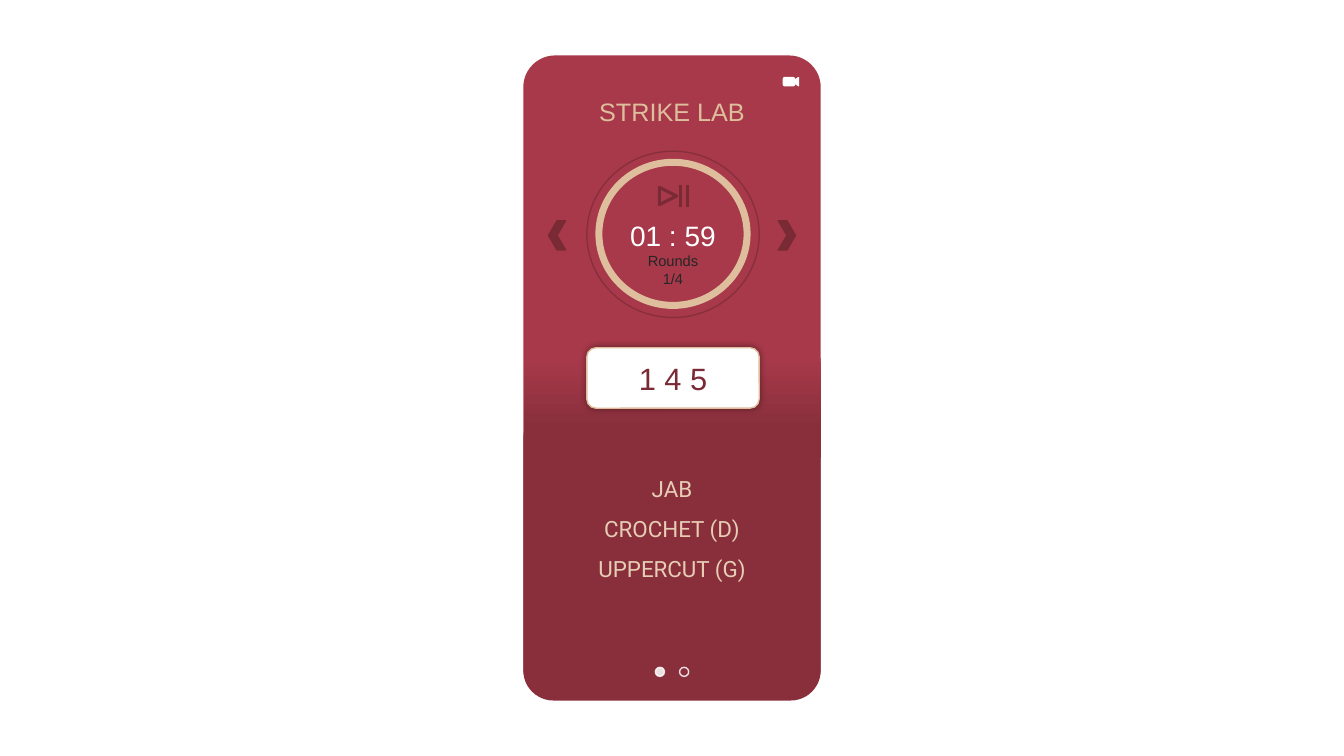
from dataclasses import dataclass

from pptx import Presentation
from pptx.dml.color import RGBColor
from pptx.enum.shapes import MSO_CONNECTOR, MSO_SHAPE
from pptx.enum.text import MSO_ANCHOR, PP_ALIGN
from pptx.oxml.ns import qn
from pptx.util import Inches, Pt
from lxml.etree import SubElement

WHITE = RGBColor(0xFF, 0xFF, 0xFF)
RED = RGBColor(0xA7, 0x39, 0x4A)
MAROON = RGBColor(0x89, 0x2F, 0x3C)
WINE = RGBColor(0x7A, 0x2A, 0x35)
SAND = RGBColor(0xDF, 0xBE, 0x9D)
CREAM = RGBColor(0xE6, 0xCD, 0xB4)
INK = RGBColor(0x26, 0x26, 0x26)
CELLS_PER_INCH = 10


@dataclass
class Box:
    """A rectangle in grid cells, ten to the inch."""
    left: float
    top: float
    width: float
    height: float

    def area(self, column, row, width, height):
        """Return a box placed from this box's top left corner."""
        return Box(self.left + column, self.top + row, width, height)

    def centred(self, row, width, height):
        """Return a box centred across this box."""
        return self.area((self.width - width) / 2, row, width, height)

    def lengths(self):
        """Return the four lengths that a shape call takes."""
        return [Inches(cells / CELLS_PER_INCH)
                for cells in (self.left, self.top, self.width, self.height)]


def add_form(shapes, kind, box, fill=None, line=None, weight=1, corner=None, turn=0):
    """Add a preset shape without shadow."""
    form = shapes.add_shape(kind, *box.lengths())
    form.shadow.inherit = False
    form.rotation = turn
    if corner is not None:
        form.adjustments[0] = corner
    if fill is None:
        form.fill.background()
    else:
        form.fill.solid()
        form.fill.fore_color.rgb = fill
    if line is None:
        form.line.fill.background()
    else:
        form.line.color.rgb = line
        form.line.width = Pt(weight)
    return form


def write(frame, lines, size, color, font="Arial", spacing=None, anchor=MSO_ANCHOR.TOP):
    """Write centred lines into a text frame."""
    frame.word_wrap = True
    frame.vertical_anchor = anchor
    for index, line in enumerate(lines):
        paragraph = frame.add_paragraph() if index else frame.paragraphs[0]
        paragraph.text = line
        paragraph.alignment = PP_ALIGN.CENTER
        paragraph.line_spacing = spacing
        paragraph.font.size = Pt(size)
        paragraph.font.name = font
        paragraph.font.color.rgb = color


def add_label(shapes, box, lines, size, color, **style):
    """Add a text box with centred lines."""
    write(shapes.add_textbox(*box.lengths()).text_frame, lines, size, color, **style)


def draw_screen(shapes, box):
    """Draw the two-tone screen and the blend between its halves."""
    add_form(shapes, MSO_SHAPE.ROUNDED_RECTANGLE, box, RED, corner=0.107)
    add_form(shapes, MSO_SHAPE.ROUNDED_RECTANGLE,
             box.area(0, 35, box.width, 29), MAROON, corner=0.103)
    blend = add_form(shapes, MSO_SHAPE.RECTANGLE, box.area(0.1, 30, 29.4, 9.9))
    blend.fill.gradient()
    blend.fill.gradient_angle = 270
    for stop, color, position in zip(blend.fill.gradient_stops, (RED, MAROON), (0, 0.69)):
        stop.color.rgb = color
        stop.position = position


def draw_header(shapes, box):
    """Draw the app title and the camera icon."""
    add_label(shapes, box.area(0, 3.6, box.width, 5.1), ["STRIKE LAB"], 18, SAND)
    camera = shapes.add_group_shape().shapes
    add_form(camera, MSO_SHAPE.ROUNDED_RECTANGLE, box.area(25.8, 2.2, 1.1, 0.8), WHITE, WHITE)
    add_form(camera, MSO_SHAPE.FLOWCHART_MERGE, box.area(26.6, 2.3, 0.8, 0.6),
             WHITE, WHITE, turn=90)


def draw_play_pause(shapes, box):
    """Draw the play triangle and the two pause bars."""
    icon = shapes.add_group_shape().shapes
    add_form(icon, MSO_SHAPE.ISOSCELES_TRIANGLE, box.area(0, 0.2, 1.7, 1.7),
             line=WINE, weight=2.25, turn=90)
    for column in (2.1, 2.8):
        left, top, _, height = box.area(column, 0, 0, box.height).lengths()
        bar = icon.add_connector(MSO_CONNECTOR.STRAIGHT, left, top, left, top + height)
        bar.line.color.rgb = WINE
        bar.line.width = Pt(2.25)
        SubElement(bar._element.spPr, qn("a:effectLst"))


def draw_timer(shapes, box):
    """Draw the round timer with its rings, clock and round count."""
    add_label(shapes, box.centred(6.2, 15.6, 4.1), ["01 : 59"], 20, WHITE)
    add_label(shapes, box.centred(8.2, 27.4, 7.1), ["Rounds", "1/4"], 10.5, INK,
              anchor=MSO_ANCHOR.MIDDLE)
    rings = shapes.add_group_shape().shapes
    add_form(rings, MSO_SHAPE.OVAL, box.centred(1.1, 14.7, 14.2), line=SAND, weight=5)
    add_form(rings, MSO_SHAPE.OVAL, box, line=MAROON)
    draw_play_pause(shapes, box.area(7.2, 3.4, 2.8, 2.1))


def draw_arrows(shapes, box):
    """Draw the previous and next arrows at both ends of the box."""
    for column, turn in ((0, 180), (box.width - 1.7, 0)):
        add_form(shapes, MSO_SHAPE.CHEVRON, box.area(column, 0, 1.7, box.height),
                 WINE, WINE, turn=turn)


def draw_combo_card(shapes, box):
    """Draw the glowing card with the combination numbers."""
    card = add_form(shapes, MSO_SHAPE.ROUNDED_RECTANGLE, box, WHITE, SAND, corner=0.151)
    effects = card._element.spPr.find(qn("a:effectLst"))
    glow = SubElement(effects, qn("a:outerShdw"), blurRad=str(Pt(5)), dist="0",
                      algn="ctr", rotWithShape="0")
    tint = SubElement(glow, qn("a:srgbClr"), val="000000")
    SubElement(tint, qn("a:alpha"), val="40000")
    write(card.text_frame, ["1 4 5"], 22, WINE, anchor=MSO_ANCHOR.MIDDLE)


def draw_page_dots(shapes, box):
    """Draw the filled and the hollow page dot."""
    dots = shapes.add_group_shape().shapes
    for column, fill in ((0, WHITE), (box.width - box.height, None)):
        dot = add_form(dots, MSO_SHAPE.OVAL, box.area(column, 0, box.height, box.height),
                       fill, WHITE)
        for color in dot._element.spPr.iter(qn("a:srgbClr")):
            SubElement(color, qn("a:alpha"), val="85000")


def draw_phone(shapes, box):
    """Draw the whole training screen."""
    draw_screen(shapes, box)
    draw_header(shapes, box)
    draw_timer(shapes, box.area(6.3, 9.5, 17.1, 16.5))
    draw_arrows(shapes, box.area(2.5, 16.4, 24.5, 2.9))
    draw_combo_card(shapes, box.area(6.3, 29, 17.1, 6))
    add_label(shapes, box.area(0, 39.8, box.width, 12.7),
              ["JAB", "CROCHET (D)", "UPPERCUT (G)"], 16, CREAM, font="Roboto", spacing=1.5)
    draw_page_dots(shapes, box.centred(60.7, 3.3, 0.9))


def main():
    """Build and save the slide."""
    deck = Presentation()
    deck.slide_width, deck.slide_height = Inches(13.33), Inches(7.5)
    slide = deck.slides.add_slide(deck.slide_layouts[6])
    draw_phone(slide.shapes, Box(51.9, 5.5, 29.5, 63.9))
    deck.save("out.pptx")


if __name__ == "__main__":
    main()
